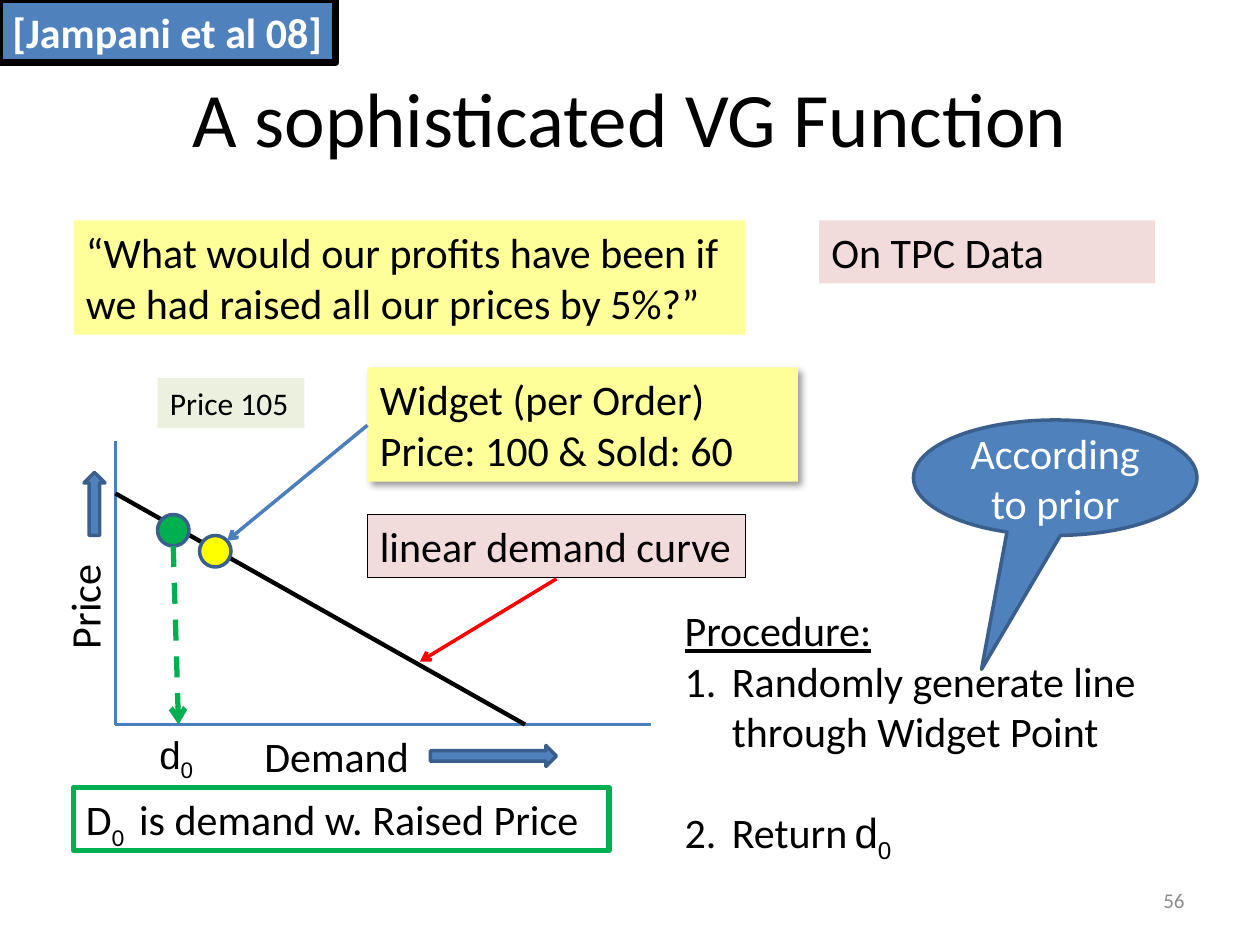
from lxml import etree
from pptx import Presentation
from pptx.dml.color import RGBColor
from pptx.enum.dml import MSO_LINE
from pptx.enum.shapes import MSO_CONNECTOR, MSO_SHAPE
from pptx.enum.text import MSO_ANCHOR, MSO_AUTO_SIZE, PP_ALIGN
from pptx.oxml.ns import qn
from pptx.util import Emu, Pt

PX = 9525
BLACK = RGBColor(0x00, 0x00, 0x00)
WHITE = RGBColor(0xFF, 0xFF, 0xFF)
GRAY = RGBColor(0x8C, 0x8C, 0x8C)
BLUE = RGBColor(0x4F, 0x81, 0xBD)
LINE_BLUE = RGBColor(0x4B, 0x7E, 0xBC)
DARK_BLUE = RGBColor(0x3A, 0x5F, 0x8C)
GREEN = RGBColor(0x00, 0xB0, 0x50)
PALE_GREEN = RGBColor(0xEB, 0xF1, 0xDE)
YELLOW = RGBColor(0xFF, 0xFF, 0x00)
PALE_YELLOW = RGBColor(0xFF, 0xFF, 0x99)
PINK = RGBColor(0xF2, 0xDC, 0xDB)
RED = RGBColor(0xFF, 0x00, 0x00)

RECTANGLE = MSO_SHAPE.RECTANGLE
OVAL = MSO_SHAPE.OVAL
UP_ARROW = MSO_SHAPE.UP_ARROW
RIGHT_ARROW = MSO_SHAPE.RIGHT_ARROW
CALLOUT = MSO_SHAPE.OVAL_CALLOUT
STRAIGHT = MSO_CONNECTOR.STRAIGHT
DASH = MSO_LINE.DASH
LEFT, CENTER, RIGHT = PP_ALIGN.LEFT, PP_ALIGN.CENTER, PP_ALIGN.RIGHT
TOP, MIDDLE = MSO_ANCHOR.TOP, MSO_ANCHOR.MIDDLE
GROW, FIXED = MSO_AUTO_SIZE.SHAPE_TO_FIT_TEXT, MSO_AUTO_SIZE.NONE

SUBSCRIPT = {"subscript": True}


def px(*lengths):
    return [Emu(length * PX) for length in lengths]


def move(shape, left, top, width, height):
    shape.left, shape.top, shape.width, shape.height = px(left, top, width, height)


def add_run(paragraph, text, size, color, font="Calibri", bold=False,
            underline=False, subscript=False):
    run = paragraph.add_run()
    run.text = text
    run.font.name = font
    run.font.size = Pt(size)
    run.font.color.rgb = color
    run.font.bold = bold
    run.font.underline = underline
    if subscript:
        run.font._element.set("baseline", "-25000")


def write(shape, *paragraphs, size=24, color=BLACK, align=LEFT, anchor=TOP,
          auto_size=GROW, **style):
    frame = shape.text_frame
    frame.word_wrap = True
    frame.auto_size = auto_size
    frame.vertical_anchor = anchor
    for index, runs in enumerate(paragraphs):
        paragraph = frame.add_paragraph() if index else frame.paragraphs[0]
        paragraph.alignment = align
        paragraph.space_before = Pt(0)
        for text, changes in [(runs, {})] if isinstance(runs, str) else runs:
            add_run(paragraph, text, **{"size": size, "color": color, **style, **changes})


def add_shape(slide, kind, box, fill=None, line=None, weight=2):
    shape = slide.shapes.add_shape(kind, *px(*box))
    shape.shadow.inherit = False
    if fill is None:
        shape.fill.background()
    else:
        shape.fill.solid()
        shape.fill.fore_color.rgb = fill
    if line is None:
        shape.line.fill.background()
    else:
        shape.line.color.rgb = line
        shape.line.width = Pt(weight)
    return shape


def add_label(slide, box, *paragraphs, fill=None, line=None, weight=2, **style):
    if fill is None and line is None:
        label = slide.shapes.add_textbox(*px(*box))
    else:
        label = add_shape(slide, RECTANGLE, box, fill, line, weight)
    write(label, *paragraphs, **style)
    return label


def add_line(slide, start, end, color, weight=2, arrow=False, dash=None):
    connector = slide.shapes.add_connector(STRAIGHT, *px(*start, *end))
    connector.line.color.rgb = color
    connector.line.width = Pt(weight)
    if dash is not None:
        connector.line.dash_style = dash
    if arrow:
        etree.SubElement(connector.line._get_or_add_ln(), qn("a:tailEnd"), type="arrow")
    etree.SubElement(connector._element.spPr, qn("a:effectLst"))


def add_shadow(shape):
    effects = shape._element.spPr.find(qn("a:effectLst"))
    shadow = etree.SubElement(effects, qn("a:outerShdw"), blurRad=str(Pt(4)),
                              dist=str(Pt(3)), dir="2700000", algn="tl", rotWithShape="0")
    color = etree.SubElement(shadow, qn("a:srgbClr"), val=str(BLACK))
    etree.SubElement(color, qn("a:alpha"), val="40000")


def format_list_item(paragraph, numbered):
    properties = paragraph._p.get_or_add_pPr()
    indent = 36 * PX if numbered else 0
    properties.set("marL", str(indent))
    properties.set("indent", str(-indent))
    if numbered:
        etree.SubElement(properties, qn("a:buFont"), typeface="+mj-lt")
        etree.SubElement(properties, qn("a:buAutoNum"), type="arabicPeriod")
    else:
        etree.SubElement(properties, qn("a:buNone"))


def build_header(slide, box):
    left, top, width, height = box
    title = slide.shapes.title
    move(title, left + 48, top + 29, width - 96, height - 29)
    write(title, "A sophisticated VG Function", size=44, align=CENTER,
          anchor=MIDDLE, auto_size=FIXED)
    add_label(slide, (left, top, 256, 48), "[Jampani et al 08]", fill=BLUE,
              line=BLACK, weight=4, color=WHITE, bold=True)


def build_question(slide, box):
    left, top, width, height = box
    add_label(slide, (left, top, 512, height),
              "“What would our profits have been if we had raised all our prices by 5%?”",
              fill=PALE_YELLOW)
    add_label(slide, (left + width - 256, top, 256, 48), "On TPC Data", fill=PINK)


def build_demand_plot(slide, box):
    left, top, width, height = box

    def at(x, y, *size):
        return (left + x, top + y, *size)

    corner = at(0, height)
    add_line(slide, at(width, height), corner, LINE_BLUE)
    add_line(slide, at(0, 0), corner, LINE_BLUE)
    add_line(slide, at(0, 40), at(312, height), BLACK, 2.5)
    add_label(slide, at(104, height, 168, 48), "Demand")
    add_shape(slide, RIGHT_ARROW, at(240, height + 16, 96, 16), BLUE, DARK_BLUE)
    price = add_label(slide, at(-48, 63, 59, 105), "Price")
    price.text_frame._txBody.bodyPr.set("vert", "vert270")
    add_shape(slide, UP_ARROW, at(-24, 24, 16, 48), BLUE, DARK_BLUE)

    add_shape(slide, OVAL, at(64, 72, 24, 24), YELLOW, DARK_BLUE)
    widget = add_label(slide, at(192, -56, 328, 87), "Widget (per Order)",
                       "Price: 100 & Sold: 60", fill=PALE_YELLOW)
    add_shadow(widget)
    add_line(slide, at(192, -12), at(85, 76), LINE_BLUE, arrow=True)

    add_label(slide, at(192, 56, 288, 48), "linear demand curve",
              fill=PINK, line=BLACK, weight=0.75)
    add_line(slide, at(336, 105), at(232, 168), RED, arrow=True)

    add_label(slide, at(32, -48, 112, 38), "Price 105", fill=PALE_GREEN, size=18)
    add_shape(slide, OVAL, at(32, 56, 24, 24), GREEN, DARK_BLUE)
    add_line(slide, at(44, 80), at(48, height), GREEN, 3, arrow=True, dash=DASH)
    add_label(slide, at(24, height, 56, 45), [("d", {}), ("0", SUBSCRIPT)],
              size=22, font="Arial")
    add_label(slide, at(-32, height + 48, 408, 48),
              [("D", {}), ("0 ", SUBSCRIPT), (" is demand w. Raised Price", {})],
              line=GREEN, weight=3)


def build_procedure(slide, box):
    left, top, width, height = box
    body = slide.placeholders[1]
    move(body, left, top + 136, width, height - 136)
    write(body,
          [("Procedure:", {"underline": True})],
          "Randomly generate line through Widget Point",
          [("Return", {}), (" ", {"size": 18}), ("d", {"font": "Arial"}),
           ("0", {"font": "Arial", **SUBSCRIPT})],
          auto_size=FIXED)
    paragraphs = body.text_frame.paragraphs
    paragraphs[-1].space_before = Pt(29)
    for index, paragraph in enumerate(paragraphs):
        format_list_item(paragraph, numbered=index > 0)

    callout = add_shape(slide, CALLOUT, (left + 184, top, 216, 88), BLUE, DARK_BLUE)
    callout.adjustments[0] = -0.26
    callout.adjustments[1] = 1.66
    write(callout, "According to prior", color=WHITE, align=CENTER,
          anchor=MIDDLE, auto_size=FIXED)


def build_slide_number(slide, box):
    add_label(slide, box, "56", size=12, color=GRAY, align=RIGHT,
              anchor=MIDDLE, auto_size=FIXED)


def main():
    presentation = Presentation()
    presentation.slide_width, presentation.slide_height = px(960, 720)
    slide = presentation.slides.add_slide(presentation.slide_layouts[1])
    build_header(slide, (0, 0, 960, 149))
    build_question(slide, (56, 168, 824, 87))
    build_demand_plot(slide, (88, 336, 408, 216))
    build_procedure(slide, (512, 320, 448, 340))
    build_slide_number(slide, (688, 667, 224, 38))
    presentation.save("out.pptx")


if __name__ == "__main__":
    main()
